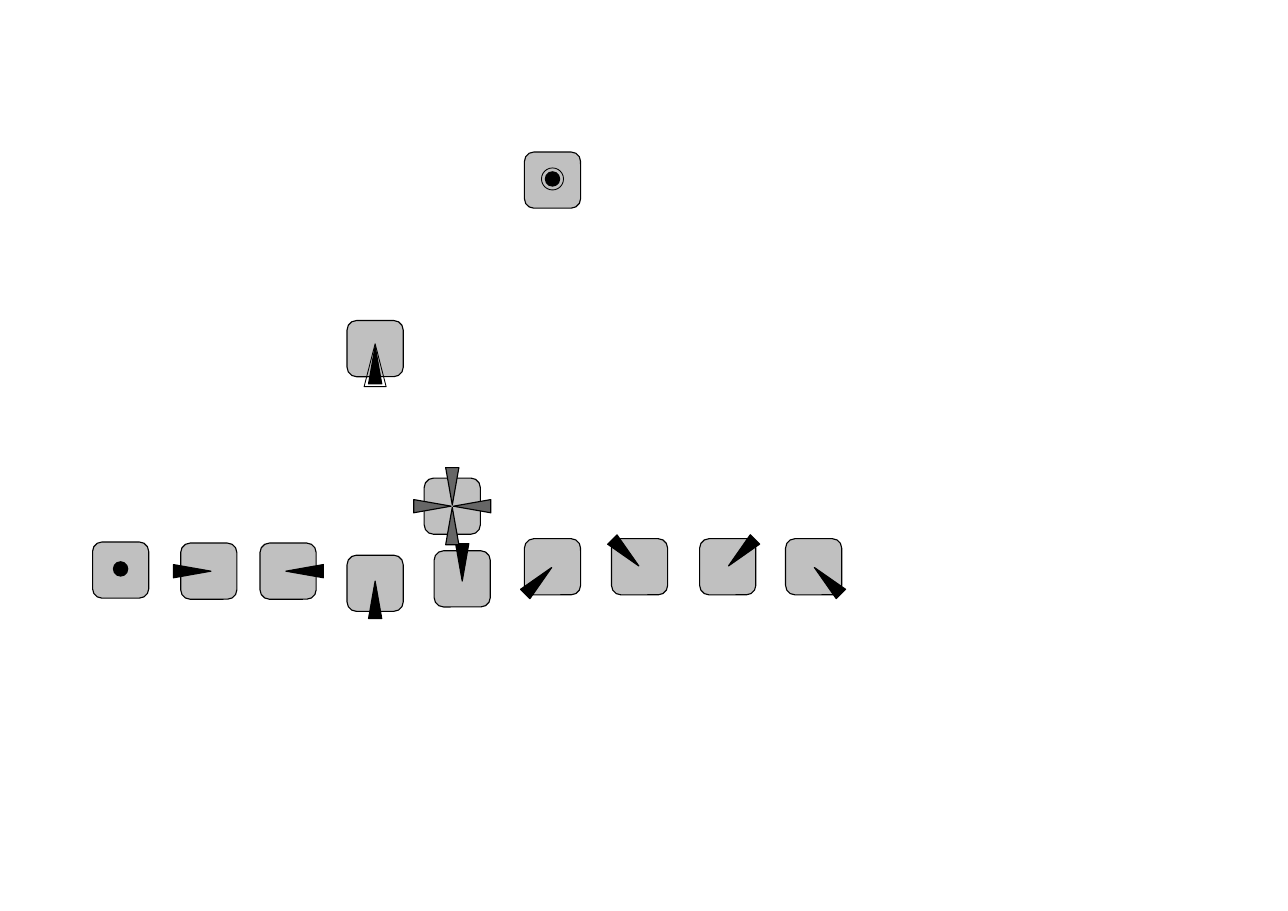
from math import cos, radians, sin

from pptx import Presentation
from pptx.dml.color import RGBColor
from pptx.enum.shapes import MSO_SHAPE
from pptx.util import Inches, Pt

BLACK = RGBColor(0x00, 0x00, 0x00)
DARK_GREY = RGBColor(0x66, 0x66, 0x66)
KEY_GREY = RGBColor(0xC0, 0xC0, 0xC0)

KEY_SIZE = 0.51
HAIRLINE, THIN = 0, 0.57
REACH, LONG_REACH = 0.15, 0.18

# Key left, key top, direction of the pointer tip in degrees from up, reach
POINTER_KEYS = [
    (3.15, 5.04, 0, REACH),
    (3.94, 5.00, 180, REACH),
    (2.36, 4.93, 270, REACH),
    (1.64, 4.93, 90, REACH),
    (6.35, 4.89, 225, LONG_REACH),
    (7.13, 4.89, 315, LONG_REACH),
    (5.55, 4.89, 135, LONG_REACH),
    (4.76, 4.89, 45, LONG_REACH),
]


class KeyPad:
    """Draws each key as a group: a rounded square with marks on it."""

    def __init__(self, slide):
        self.slide = slide

    def shape(self, kind, cx, cy, width, height, fill, line):
        sp = self.group.shapes.add_shape(
            kind, Inches(cx - width / 2), Inches(cy - height / 2),
            Inches(width), Inches(height))
        sp.shadow.inherit = False
        if fill is None:
            sp.fill.background()
        else:
            sp.fill.solid()
            sp.fill.fore_color.rgb = fill
        sp.line.color.rgb = BLACK
        sp.line.width = Pt(line)
        return sp

    def key(self, left, top):
        """Start a new group; later marks are placed from this key's centre."""
        self.group = self.slide.shapes.add_group_shape()
        self.cx, self.cy = left + KEY_SIZE / 2, top + KEY_SIZE / 2
        sp = self.shape(MSO_SHAPE.ROUNDED_RECTANGLE, self.cx, self.cy,
                        KEY_SIZE, KEY_SIZE, KEY_GREY, HAIRLINE)
        sp.adjustments[0] = 0.167

    def pointer(self, angle, reach, width=0.12, height=0.34, fill=BLACK,
                line=HAIRLINE):
        """Add a triangle whose middle lies reach behind the key's centre."""
        turn = radians(angle)
        sp = self.shape(MSO_SHAPE.ISOSCELES_TRIANGLE,
                        self.cx - reach * sin(turn),
                        self.cy + reach * cos(turn),
                        width, height, fill, line)
        sp.rotation = angle

    def dot(self, size=0.13, fill=BLACK, line=HAIRLINE):
        self.shape(MSO_SHAPE.OVAL, self.cx, self.cy - 0.01, size, size,
                   fill, line)


def main():
    prs = Presentation()
    prs.slide_width, prs.slide_height = Inches(11.69), Inches(8.27)
    pad = KeyPad(prs.slides.add_slide(prs.slide_layouts[6]))

    for left, top, angle, reach in POINTER_KEYS:
        pad.key(left, top)
        pad.pointer(angle, reach)

    pad.key(0.84, 4.92)
    pad.dot()

    pad.key(3.85, 4.34)
    for angle in (180, 0, 90, 270):
        pad.pointer(angle, LONG_REACH, fill=DARK_GREY)

    pad.key(4.76, 1.38)
    pad.dot()
    pad.dot(size=0.2, fill=None, line=THIN)

    pad.key(3.15, 2.91)
    pad.pointer(0, REACH)
    pad.pointer(0, REACH, width=0.2, height=0.39, fill=None, line=THIN)

    prs.save("out.pptx")


if __name__ == "__main__":
    main()
